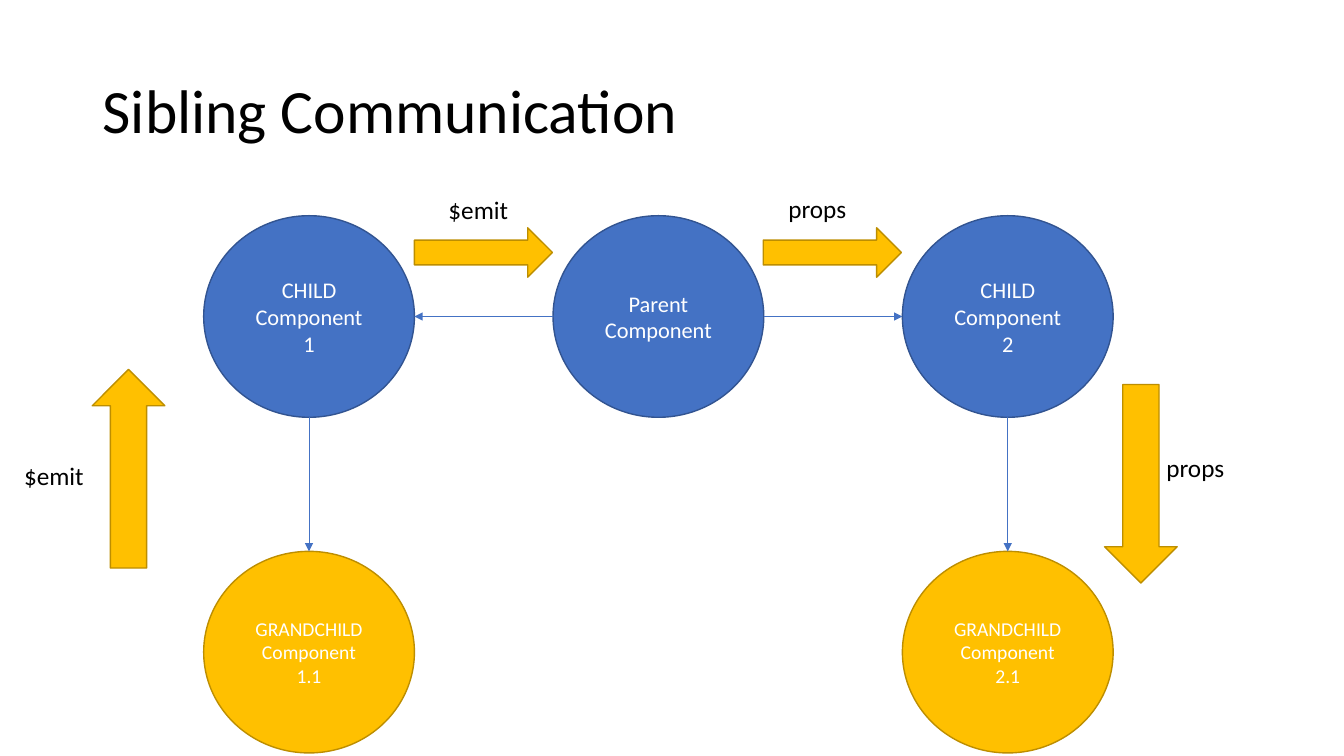
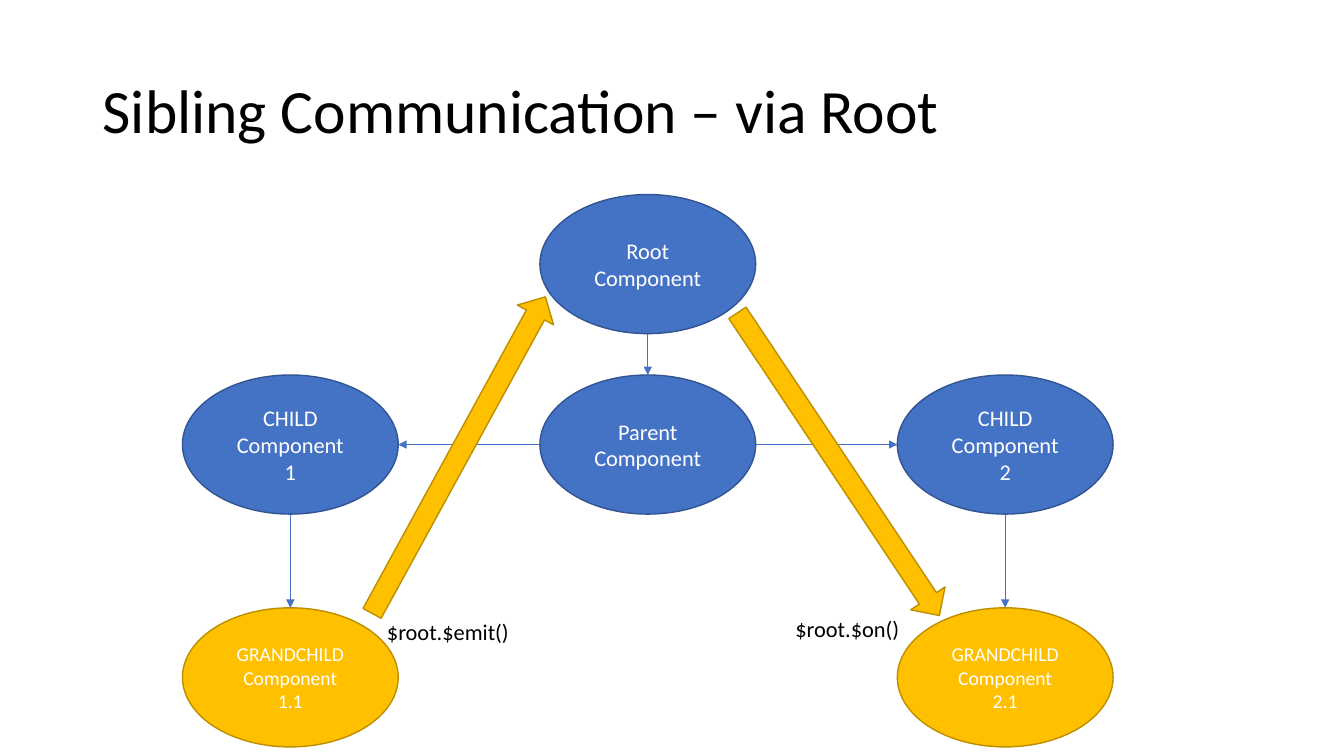
from dataclasses import dataclass

from lxml import etree
from pptx import Presentation
from pptx.dml.color import RGBColor
from pptx.enum.shapes import MSO_CONNECTOR, MSO_SHAPE
from pptx.enum.text import MSO_ANCHOR, MSO_AUTO_SIZE, PP_ALIGN
from pptx.oxml.ns import qn
from pptx.util import Inches, Pt

OVAL, ARROW = MSO_SHAPE.OVAL, MSO_SHAPE.RIGHT_ARROW
STRAIGHT = MSO_CONNECTOR.STRAIGHT
LEFT, CENTER = PP_ALIGN.LEFT, PP_ALIGN.CENTER
TOP, MIDDLE = MSO_ANCHOR.TOP, MSO_ANCHOR.MIDDLE

FONT = "Calibri"
BLACK, WHITE = "000000", "FFFFFF"
BLUE, BLUE_EDGE = "4472C4", "325491"
GOLD, GOLD_EDGE = "FFC000", "BD8E00"


@dataclass(frozen=True)
class Node:
    text: str
    column: int
    row: int
    grandchild: bool = False


@dataclass(frozen=True)
class Flow:
    """A block arrow that shows the way the data goes."""
    left: float
    top: float
    width: float
    height: float
    rotation: float = 0


@dataclass(frozen=True)
class Label:
    text: str
    left: float
    top: float
    width: float


@dataclass(frozen=True)
class Diagram:
    title: str
    left: float
    pitch: float
    node_width: float
    node_height: float
    row_tops: tuple[float, ...]
    nodes: tuple[Node, ...]
    links: tuple[tuple[int, int], ...]
    flows: tuple[Flow, ...]
    labels: tuple[Label, ...]
    label_size: int

    def corner(self, node: Node) -> tuple[float, float]:
        return self.left + node.column * self.pitch, self.row_tops[node.row]


def family(row: int) -> tuple[Node, ...]:
    """Parent, two children beside it and a grandchild below each child."""
    return (
        Node("Parent Component", 1, row),
        Node("CHILD Component\n1", 0, row),
        Node("CHILD Component\n2", 2, row),
        Node("GRANDCHILD Component\n1.1", 0, row + 1, True),
        Node("GRANDCHILD Component\n2.1", 2, row + 1, True),
    )


FAMILY_LINKS = ((0, 1), (0, 2), (1, 3), (2, 4))

DIAGRAMS = (
    Diagram(
        "Sibling Communication", 2.02, 3.465, 2.09, 2, (2.14, 5.47),
        family(0), FAMILY_LINKS,
        (Flow(0.29, 4.29, 1.97, 0.72, 270), Flow(4.11, 2.26, 1.37, 0.49),
         Flow(7.57, 2.26, 1.37, 0.49), Flow(10.33, 4.44, 1.97, 0.72, 90)),
        (Label("$emit", 0.14, 4.52, 0.8), Label("$emit", 4.35, 1.88, 0.8),
         Label("props", 7.72, 1.87, 0.78), Label("props", 11.47, 4.44, 0.78)),
        18,
    ),
    Diagram(
        "Sibling Communication – via Root", 1.81, 3.545, 2.14, 1.38,
        (1.93, 3.72, 6.03),
        family(1) + (Node("Root Component", 1, 0),), FAMILY_LINKS + ((5, 0),),
        (Flow(2.76, 4.31, 3.58, 0.41, 298.7),
         Flow(6.51, 4.4, 3.61, 0.41, 56.3)),
        (Label("$root.$emit()", 3.74, 6.08, 1.47),
         Label("$root.$on()", 7.79, 6.05, 1.29)),
        16,
    ),
)


def color(value: str) -> RGBColor:
    return RGBColor.from_string(value)


def write(shape, text: str, *, size: float, ink: str = BLACK, align=LEFT,
          anchor=TOP, wrap: bool = True, spacing: float = 1) -> None:
    frame = shape.text_frame
    frame.word_wrap = wrap
    frame.vertical_anchor = anchor
    for index, line in enumerate(text.split("\n")):
        para = frame.add_paragraph() if index else frame.paragraphs[0]
        para.alignment = align
        para.line_spacing = spacing
        span = para.add_run()
        span.text = line
        span.font.name = FONT
        span.font.size = Pt(size)
        span.font.color.rgb = color(ink)


def add_box(page, left: float, top: float, width: float, height: float):
    return page.shapes.add_textbox(
        Inches(left), Inches(top), Inches(width), Inches(height))


def add_figure(page, kind, left: float, top: float, width: float,
               height: float, fill: str, edge: str):
    figure = page.shapes.add_shape(
        kind, Inches(left), Inches(top), Inches(width), Inches(height))
    figure.shadow.inherit = False
    figure.fill.solid()
    figure.fill.fore_color.rgb = color(fill)
    figure.line.color.rgb = color(edge)
    figure.line.width = Pt(1)
    return figure


def add_node(page, diagram: Diagram, node: Node) -> None:
    fill, edge = (GOLD, GOLD_EDGE) if node.grandchild else (BLUE, BLUE_EDGE)
    oval = add_figure(page, OVAL, *diagram.corner(node), diagram.node_width,
                      diagram.node_height, fill, edge)
    write(oval, node.text, size=14 if node.grandchild else 16, ink=WHITE,
          align=CENTER, anchor=MIDDLE)


def add_link(page, diagram: Diagram, source: Node, target: Node) -> None:
    """Join the facing edges of two nodes in the same row or column."""
    half_width, half_height = diagram.node_width / 2, diagram.node_height / 2
    across = (target.column > source.column) - (target.column < source.column)
    down = (target.row > source.row) - (target.row < source.row)
    ends = []
    for node, side in ((source, 1), (target, -1)):
        left, top = diagram.corner(node)
        ends += [Inches(left + half_width * (1 + side * across)),
                 Inches(top + half_height * (1 + side * down))]
    link = page.shapes.add_connector(STRAIGHT, *ends)
    link.line.color.rgb = color(BLUE)
    link.line.width = Pt(0.5)
    etree.SubElement(link.line._get_or_add_ln(), qn("a:tailEnd"),
                     type="triangle")
    etree.SubElement(link._element.spPr, qn("a:effectLst"))


def add_diagram(deck, diagram: Diagram) -> None:
    page = deck.slides.add_slide(deck.slide_layouts[6])
    # Title
    write(add_box(page, 0.92, 0.4, 11.5, 1.45), diagram.title, size=44,
          anchor=MIDDLE, spacing=0.9)
    # Component tree
    for node in diagram.nodes:
        add_node(page, diagram, node)
    for source, target in diagram.links:
        add_link(page, diagram, diagram.nodes[source], diagram.nodes[target])
    # Data flow
    for flow in diagram.flows:
        arrow = add_figure(page, ARROW, flow.left, flow.top, flow.width,
                           flow.height, GOLD, GOLD_EDGE)
        arrow.rotation = flow.rotation
    for label in diagram.labels:
        box = add_box(page, label.left, label.top, label.width, 0.4)
        write(box, label.text, size=diagram.label_size, wrap=False)
        box.text_frame.auto_size = MSO_AUTO_SIZE.SHAPE_TO_FIT_TEXT


def main() -> None:
    deck = Presentation()
    deck.slide_width, deck.slide_height = Inches(13.33), Inches(7.5)
    for diagram in DIAGRAMS:
        add_diagram(deck, diagram)
    deck.save("out.pptx")


if __name__ == "__main__":
    main()
